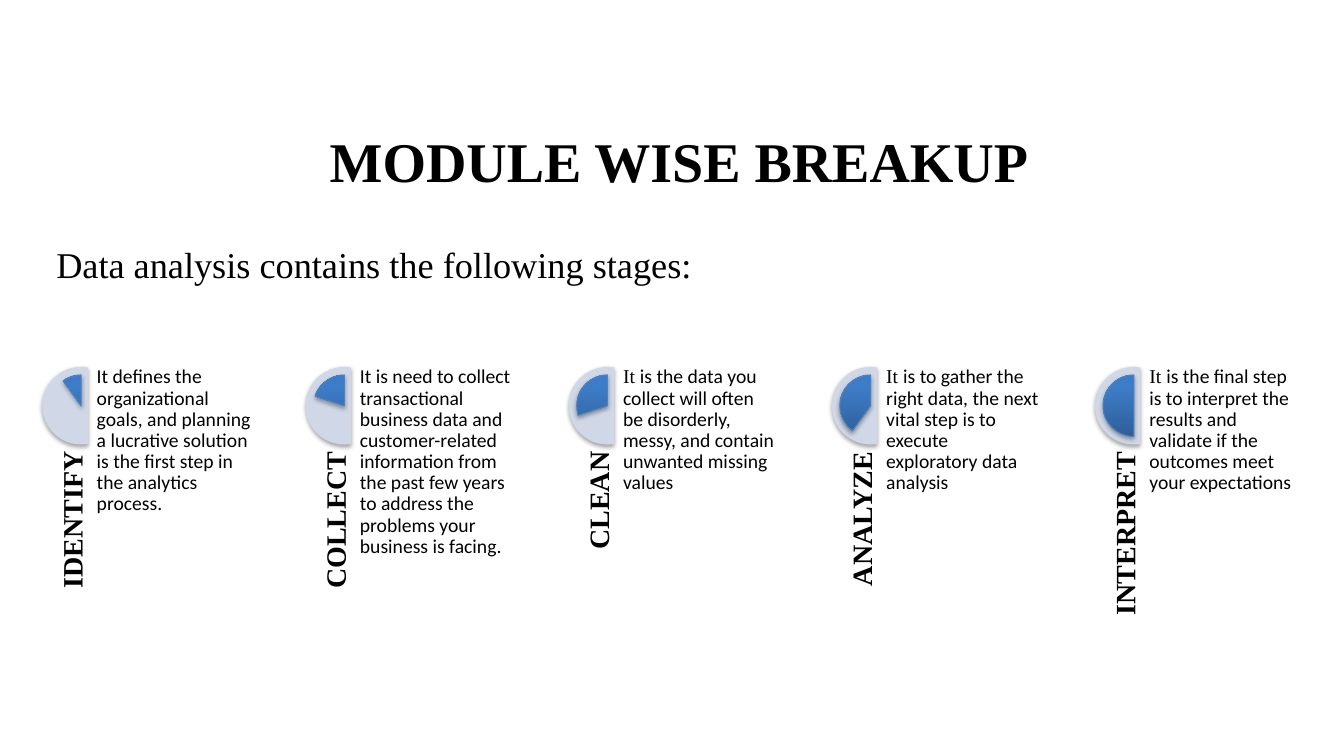
from copy import deepcopy
from dataclasses import dataclass

from lxml import etree
from pptx import Presentation
from pptx import util as u
from pptx.dml.color import RGBColor
from pptx.enum import shapes, text
from pptx.oxml.ns import qn


@dataclass(frozen=True)
class Theme:
    ink: str = "000000"
    dial: str = "D0D8E8"
    outline: str = "4F81BD"
    gradient: tuple = ((0, "2F5F99"), (0.8, "3D7CC7"), (1, "3A7CCB"))
    serif: str = "Times New Roman"
    sans: str = "Calibri"
    title_size: float = 40
    intro_size: float = 25.9
    label_size: float = 20
    body_size: float = 14


THEME = Theme()

# Grid, in inches
FIRST_COLUMN, COLUMN_PITCH, STAGE_TOP = 0.42, 2.61, 3.64
DIAL_SIZE, DIAL_INSET, WEDGE_SIZE = 0.77, 0.08, 0.61
LABEL_LENGTH, LABEL_HEIGHT, LABEL_CENTER_X, LABEL_CENTER_Y = 2.22, 0.46, 0.23, 5.59
BODY_OFFSET, BODY_WIDTH, BODY_HEIGHT = 0.54, 1.53, 3.06

# Angle adjustments: 0.6 for each degree
DEGREE = 0.6
TOP_ANGLE, SLICE_ANGLE = 270, 36

# Label, opening word in the given font, rest of the description
STAGES = [
    ("IDENTIFY", THEME.sans, "defines the organizational goals, and planning a lucrative "
     "solution is the first step in the analytics process."),
    ("COLLECT", THEME.sans, "is need to collect transactional business data and "
     "customer-related information from the past few years to address the problems "
     "your business is facing."),
    ("CLEAN", THEME.serif, "is the data you collect will often be disorderly, messy, "
     "and contain unwanted missing values"),
    ("ANALYZE", THEME.serif, "is to gather the right data, the next vital step is to "
     "execute exploratory data analysis"),
    ("INTERPRET", THEME.serif, "is the final step is to interpret the results and "
     "validate if the outcomes meet your expectations"),
]


def inches(*lengths):
    return [u.Inches(length) for length in lengths]


def add_run(paragraph, words, font, size, bold=False):
    run = paragraph.add_run()
    run.text = words
    run.font.name = font
    run.font.size = u.Pt(size)
    run.font.bold = bold
    run.font.color.rgb = RGBColor.from_string(THEME.ink)


def add_text_box(slide, box, anchor=text.MSO_ANCHOR.TOP, margin=0.0):
    shape = slide.shapes.add_textbox(*inches(*box))
    frame = shape.text_frame
    frame.word_wrap = True
    frame.vertical_anchor = anchor
    frame.margin_left = frame.margin_right = u.Inches(margin)
    frame.margin_top = frame.margin_bottom = u.Inches(margin / 2)
    return shape


def add_shadow(shape):
    shape.shadow.inherit = False
    effects = shape._element.spPr.find(qn("a:effectLst"))
    shadow = etree.SubElement(effects, qn("a:outerShdw"), blurRad="40000",
                              dist="23000", dir="5400000", rotWithShape="0")
    color = etree.SubElement(shadow, qn("a:srgbClr"), val="000000")
    etree.SubElement(color, qn("a:alpha"), val="35000")


def fill_gradient(shape):
    shape.fill.gradient()
    shape.fill.gradient_angle = 90
    stop_list = next(shape._element.spPr.iter(qn("a:gsLst")))
    stop_list.insert(1, deepcopy(stop_list[0]))
    for stop, (position, color) in zip(shape.fill.gradient_stops, THEME.gradient):
        stop.position = position
        stop.color.rgb = RGBColor.from_string(color)


def add_sector(slide, kind, left, top, size, start, end):
    shape = slide.shapes.add_shape(kind, *inches(left, top, size, size))
    shape.adjustments[0] = start * DEGREE
    shape.adjustments[1] = end * DEGREE
    add_shadow(shape)
    return shape


def add_dial(slide, left, slices):
    back = add_sector(slide, shapes.MSO_SHAPE.CHORD, left, STAGE_TOP, DIAL_SIZE, 80, 280)
    back.fill.solid()
    back.fill.fore_color.rgb = RGBColor.from_string(THEME.dial)
    back.line.fill.background()

    wedge = add_sector(slide, shapes.MSO_SHAPE.PIE, left + DIAL_INSET,
                       STAGE_TOP + DIAL_INSET, WEDGE_SIZE,
                       TOP_ANGLE - slices * SLICE_ANGLE, TOP_ANGLE)
    fill_gradient(wedge)
    wedge.line.color.rgb = RGBColor.from_string(THEME.outline)
    wedge.line.width = u.Pt(0.75)


def add_label(slide, left, words):
    box = (left + LABEL_CENTER_X - LABEL_LENGTH / 2, LABEL_CENTER_Y - LABEL_HEIGHT / 2,
           LABEL_LENGTH, LABEL_HEIGHT)
    shape = add_text_box(slide, box, text.MSO_ANCHOR.BOTTOM)
    shape.rotation = 270
    paragraph = shape.text_frame.paragraphs[0]
    paragraph.alignment = text.PP_ALIGN.RIGHT
    paragraph.line_spacing = 0.9
    add_run(paragraph, words, THEME.serif, THEME.label_size, bold=True)


def add_description(slide, left, opening_font, words):
    box = (left + BODY_OFFSET, STAGE_TOP, BODY_WIDTH, BODY_HEIGHT)
    paragraph = add_text_box(slide, box).text_frame.paragraphs[0]
    paragraph.line_spacing = 0.9
    add_run(paragraph, "It ", opening_font, THEME.body_size)
    add_run(paragraph, words, THEME.sans, THEME.body_size)


def set_title(slide, words):
    title = slide.shapes.title
    title.left, title.top, title.width, title.height = inches(0.46, 1.15, 12.55, 0.88)
    title.text_frame.vertical_anchor = text.MSO_ANCHOR.MIDDLE
    paragraph = title.text_frame.paragraphs[0]
    paragraph.alignment = text.PP_ALIGN.CENTER
    add_run(paragraph, words, THEME.serif, THEME.title_size, bold=True)


def add_intro(slide, words):
    shape = add_text_box(slide, (0.46, 2.35, 6.98, 0.68), margin=0.1)
    paragraph = shape.text_frame.paragraphs[0]
    paragraph.space_before = u.Pt(5)
    add_run(paragraph, words, THEME.serif, THEME.intro_size)


def main():
    presentation = Presentation()
    presentation.slide_width, presentation.slide_height = inches(13.33, 7.5)
    slide = presentation.slides.add_slide(presentation.slide_layouts[5])

    # Heading
    set_title(slide, "MODULE WISE BREAKUP")
    add_intro(slide, "Data analysis contains the following stages:")

    # One column for each stage, its dial one slice fuller than the last
    for index, (label, opening_font, words) in enumerate(STAGES):
        left = FIRST_COLUMN + index * COLUMN_PITCH
        add_dial(slide, left, index + 1)
        add_label(slide, left, label)
        add_description(slide, left, opening_font, words)

    presentation.save("out.pptx")


if __name__ == "__main__":
    main()
